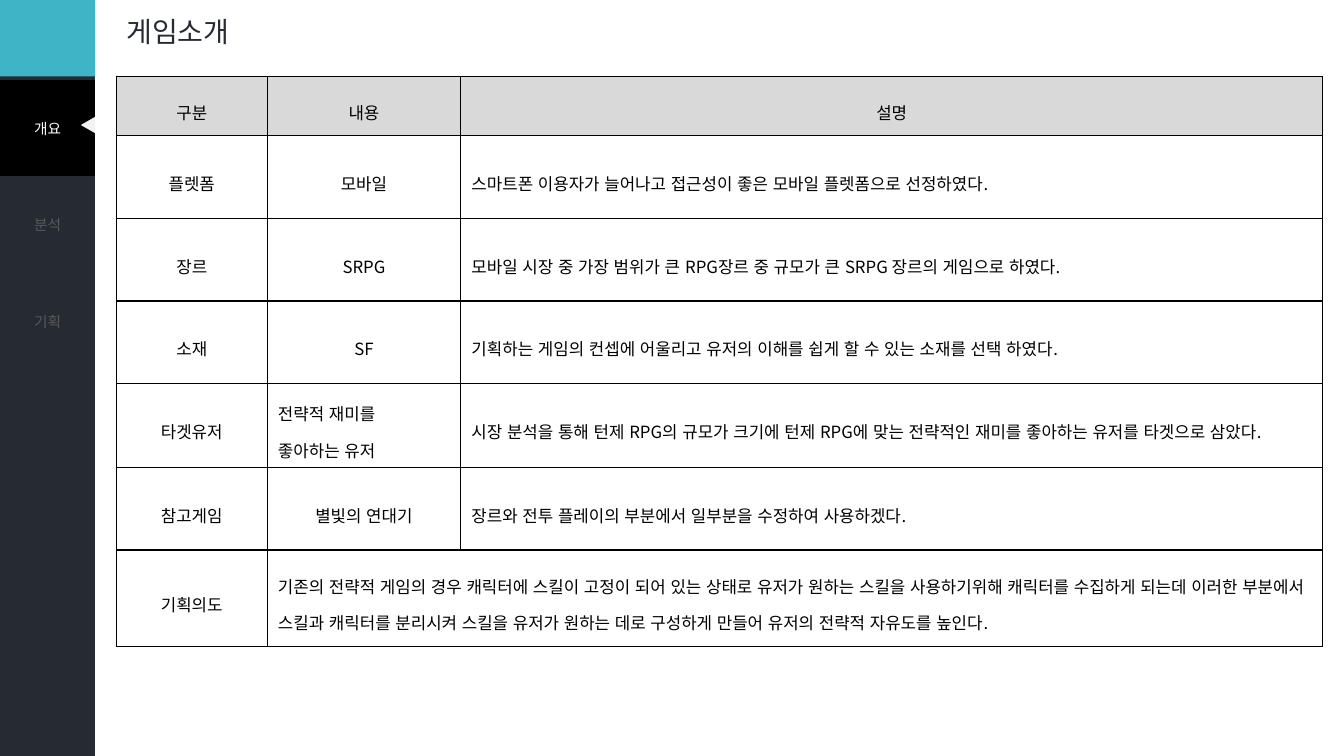
from dataclasses import dataclass

from lxml.etree import SubElement
from pptx import Presentation
from pptx.dml.color import RGBColor
from pptx.enum.lang import MSO_LANGUAGE_ID
from pptx.enum.shapes import MSO_SHAPE
from pptx.enum.text import MSO_ANCHOR, PP_ALIGN
from pptx.oxml.ns import qn
from pptx.util import Pt


@dataclass(frozen=True)
class Theme:
    font: str = "Noto Sans CJK KR"
    dark: str = "262A33"
    teal: str = "3EB4C6"
    black: str = "000000"
    white: str = "FFFFFF"
    muted: str = "595959"
    header: str = "D9D9D9"
    pointer: str = "F2F2F2"
    title_size: float = 20
    body_size: float = 12
    menu_size: float = 10.5
    plain_table: str = "{2D5ABB26-0587-4C30-8999-92F81FD0307C}"


theme = Theme()


def write(frame, text, size, color, align, spacing=1.0):
    """Write text run by run, with a line break at each newline."""
    para = frame.paragraphs[0]
    para.alignment = align
    para.line_spacing = spacing
    for index, line in enumerate(text.split("\n")):
        if index:
            para.add_line_break()
        span = para.add_run()
        span.text = line
        span.font.size = Pt(size)
        span.font.color.rgb = RGBColor.from_string(color)
        span.font.name = theme.font
        span.font.language_id = MSO_LANGUAGE_ID.KOREAN
        # East Asian font, and no pair kerning around spaces
        span.font._element.set("kern", "0")
        SubElement(span.font._element, qn("a:ea"), typeface=theme.font)


def add_plain_table(left, top, widths, heights):
    """Add a table without banding and size its columns and rows."""
    frame = slide.shapes.add_table(len(heights), len(widths), Pt(left), Pt(top),
                                   Pt(sum(widths)), Pt(sum(heights)))
    table = frame.table
    table.first_row = table.horz_banding = False
    table._tbl.tblPr.find(qn("a:tableStyleId")).text = theme.plain_table
    for column, width in zip(table.columns, widths):
        column.width = Pt(width)
    for row, height in zip(table.rows, heights):
        row.height = Pt(height)
    return table


deck = Presentation()
deck.slide_width, deck.slide_height = Pt(960), Pt(540)
slide = deck.slides.add_slide(deck.slide_layouts[5])

# Title
title = slide.shapes.title
title.left, title.top, title.width, title.height = Pt(83.1), Pt(1), Pt(861.8), Pt(42.5)
title.text_frame.vertical_anchor = MSO_ANCHOR.MIDDLE
write(title.text_frame, "게임소개", theme.title_size, theme.dark, PP_ALIGN.LEFT)

# Sidebar: a plain dark table, then the menu table slightly lower, leaving a dark strip
sidebar_width, menu_row = 68, 69
menu_items = ["개요", "분석", "기획", "", "", "", ""]
for top, items, first_fill in [(54.5, [""] * len(menu_items), theme.dark),
                               (56.9, menu_items, theme.black)]:
    menu = add_plain_table(0, top, [sidebar_width], [menu_row] * len(items))
    for index, item in enumerate(items):
        cell = menu.cell(index, 0)
        cell.vertical_anchor = MSO_ANCHOR.MIDDLE
        cell.fill.solid()
        cell.fill.fore_color.rgb = RGBColor.from_string(theme.dark if index else first_fill)
        if item:
            write(cell.text_frame, item, theme.menu_size,
                  theme.muted if index else theme.white, PP_ALIGN.CENTER)

# Sidebar top block and the pointer of the active menu item
for kind, left, top, width, height, angle, color in [
    (MSO_SHAPE.RECTANGLE, 0, 0, sidebar_width, 54.5, 0, theme.teal),
    (MSO_SHAPE.ISOSCELES_TRIANGLE, 57, 84.3, 11.5, 10, 270, theme.pointer),
]:
    block = slide.shapes.add_shape(kind, Pt(left), Pt(top), Pt(width), Pt(height))
    block.rotation = angle
    block.shadow.inherit = False
    block.fill.solid()
    block.fill.fore_color.rgb = RGBColor.from_string(color)
    block.line.fill.background()

# Game overview table
overview_rows = [
    ("구분", "내용", "설명"),
    ("플렛폼", "모바일", "스마트폰 이용자가 늘어나고 접근성이 좋은 모바일 플렛폼으로 선정하였다."),
    ("장르", "SRPG", "모바일 시장 중 가장 범위가 큰 RPG장르 중 규모가 큰 SRPG 장르의 게임으로 하였다."),
    ("소재", "SF", "기획하는 게임의 컨셉에 어울리고 유저의 이해를 쉽게 할 수 있는 소재를 선택 하였다."),
    ("타겟유저", "전략적 재미를 \n좋아하는 유저",
     "시장 분석을 통해 턴제 RPG의 규모가 크기에 턴제 RPG에 맞는 전략적인 재미를 "
     "좋아하는 유저를 타겟으로 삼았다."),
    ("참고게임", "별빛의 연대기", "장르와 전투 플레이의 부분에서 일부분을 수정하여 사용하겠다."),
    ("기획의도",
     "기존의 전략적 게임의 경우 캐릭터에 스킬이 고정이 되어 있는 상태로 유저가 원하는 스킬을 "
     "사용하기위해 캐릭터를 수집하게 되는데 이러한 부분에서 스킬과 캐릭터를 분리시켜 스킬을 "
     "유저가 원하는 데로 구성하게 만들어 유저의 전략적 자유도를 높인다.", ""),
]
left_aligned = {(4, 1), (6, 1)}
overview = add_plain_table(83.1, 54.5, [107.8, 138.2, 615.8], [42.5] + [59] * 5 + [69])
overview.cell(6, 1).merge(overview.cell(6, 2))
for r, texts in enumerate(overview_rows):
    for c, text in enumerate(texts):
        cell = overview.cell(r, c)
        cell.vertical_anchor = MSO_ANCHOR.MIDDLE
        cell.margin_left = cell.margin_right = Pt(7.7)
        cell.margin_top = cell.margin_bottom = Pt(3.8)
        # Borders come before the fill in the cell properties
        properties = cell._tc.get_or_add_tcPr()
        for side in ("lnL", "lnR", "lnT", "lnB"):
            border = SubElement(properties, qn(f"a:{side}"), w=str(Pt(1)))
            SubElement(SubElement(border, qn("a:solidFill")), qn("a:srgbClr"), val=theme.black)
        if r == 0:
            cell.fill.solid()
            cell.fill.fore_color.rgb = RGBColor.from_string(theme.header)
        else:
            cell.fill.background()
        if text:
            is_left = (r > 0 and c == 2) or (r, c) in left_aligned
            write(cell.text_frame, text, theme.body_size, theme.black,
                  PP_ALIGN.LEFT if is_left else PP_ALIGN.CENTER, 1.5)

deck.save("out.pptx")
